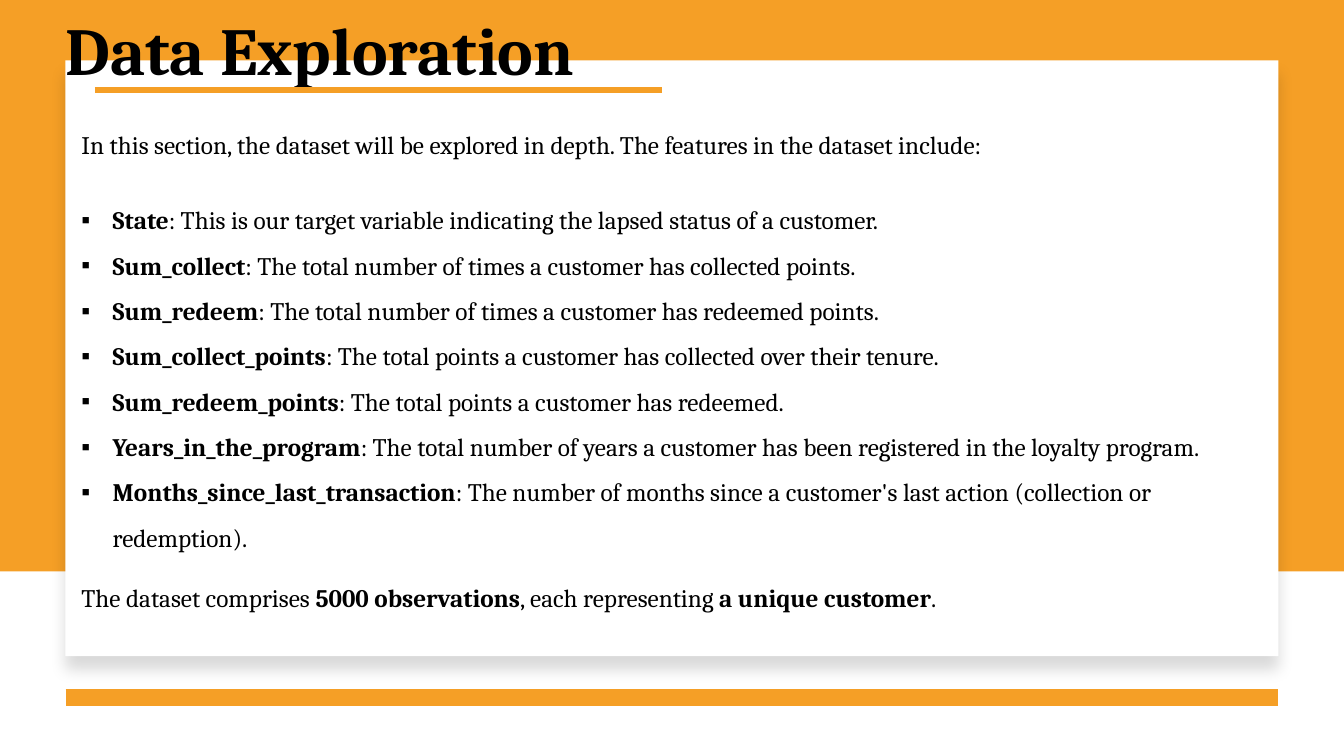
from lxml.etree import SubElement
from pptx import Presentation
from pptx.dml.color import RGBColor
from pptx.enum.shapes import MSO_CONNECTOR, MSO_SHAPE
from pptx.enum.text import MSO_ANCHOR, PP_ALIGN
from pptx.oxml.ns import qn
from pptx.util import Inches, Pt

# Content
TITLE = "Data Exploration"
INTRO = "In this section, the dataset will be explored in depth. The features in the dataset include:"
FEATURES = [
    ("State", "This is our target variable indicating the lapsed status of a customer."),
    ("Sum_collect", "The total number of times a customer has collected points."),
    ("Sum_redeem", "The total number of times a customer has redeemed points."),
    ("Sum_collect_points", "The total points a customer has collected over their tenure."),
    ("Sum_redeem_points", "The total points a customer has redeemed."),
    ("Years_in_the_program",
     "The total number of years a customer has been registered in the loyalty program."),
    ("Months_since_last_transaction",
     "The number of months since a customer's last action (collection or redemption)."),
]
# Pairs of text and bold
SUMMARY = [
    ("The dataset comprises ", False),
    ("5000 observations", True),
    (", each representing ", False),
    ("a unique customer", True),
    (".", False),
]

# Style
FONT = "Cambria"
ORANGE, WHITE, BLACK = "F59F26", "FFFFFF", "000000"
BODY_SIZE = 18
SECTION_GAP = 21.6  # one body line, in points
INDENT = 0.31
LEFT, CARD_WIDTH = 0.65, 12.03


def color(hex_string):
    return RGBColor.from_string(hex_string)


def add_text(paragraph, text, size=BODY_SIZE, bold=False, fill=BLACK):
    run = paragraph.add_run()
    run.text = text
    run.font.name = FONT
    run.font.size = Pt(size)
    run.font.bold = bold
    run.font.color.rgb = color(fill)


def add_rectangle(slide, left, top, width, height, fill):
    shape = slide.shapes.add_shape(
        MSO_SHAPE.RECTANGLE, Inches(left), Inches(top), Inches(width), Inches(height))
    shape.shadow.inherit = False
    shape.fill.solid()
    shape.fill.fore_color.rgb = color(fill)
    shape.line.fill.background()
    return shape


def add_shadow(shape):
    effects = shape._element.spPr.find(qn("a:effectLst"))
    shadow = SubElement(effects, qn("a:outerShdw"), blurRad=str(Pt(11)), dist=str(Pt(10)),
                        dir="5400000", algn="t", rotWithShape="0")
    shadow_color = SubElement(shadow, qn("a:srgbClr"), val=BLACK)
    SubElement(shadow_color, qn("a:alpha"), val="15000")


def add_rule(slide, left, right, y, width):
    line = slide.shapes.add_connector(
        MSO_CONNECTOR.STRAIGHT, Inches(left), Inches(y), Inches(right), Inches(y))
    line.line.color.rgb = color(ORANGE)
    line.line.width = Pt(width)
    SubElement(line._element.spPr, qn("a:effectLst"))


def set_bullet(paragraph):
    properties = paragraph._p.get_or_add_pPr()
    properties.set("marL", str(Inches(INDENT)))
    properties.set("indent", str(-Inches(INDENT)))
    SubElement(properties, qn("a:buFont"), typeface="Arial")
    SubElement(properties, qn("a:buChar"), char="▪")


def main():
    presentation = Presentation()
    presentation.slide_width, presentation.slide_height = Inches(13.33), Inches(7.5)
    slide = presentation.slides.add_slide(presentation.slide_layouts[5])

    # Orange backdrop and white card
    add_rectangle(slide, 0, 0, 13.33, 5.67, ORANGE)
    add_shadow(add_rectangle(slide, LEFT, 0.6, CARD_WIDTH, 5.91, WHITE))

    # Title, raised above the card
    title = slide.shapes.title
    title._element.getparent().append(title._element)
    title.left, title.top = Inches(LEFT), Inches(0.17)
    title.width, title.height = Inches(6.3), Inches(1.49)
    frame = title.text_frame
    frame.margin_left = frame.margin_top = frame.margin_right = frame.margin_bottom = 0
    frame.vertical_anchor = MSO_ANCHOR.TOP
    heading = frame.paragraphs[0]
    heading.alignment = PP_ALIGN.LEFT
    heading.line_spacing = 0.9
    add_text(heading, TITLE, size=48, bold=True)

    # Rules under the title and the card
    add_rule(slide, LEFT, LEFT + CARD_WIDTH, 6.92, 12)
    add_rule(slide, 0.94, 6.57, 0.89, 4.5)

    # Body text
    body = slide.shapes.add_textbox(
        Inches(0.71), Inches(1.23), Inches(CARD_WIDTH), Inches(4.95)).text_frame
    body.word_wrap = True
    add_text(body.paragraphs[0], INTRO)
    for index, (name, meaning) in enumerate(FEATURES):
        paragraph = body.add_paragraph()
        paragraph.line_spacing = 1.5
        if index == 0:
            paragraph.space_before = Pt(SECTION_GAP)
        set_bullet(paragraph)
        add_text(paragraph, name, bold=True)
        add_text(paragraph, f": {meaning}")
    closing = body.add_paragraph()
    closing.space_before = Pt(SECTION_GAP)
    for text, bold in SUMMARY:
        add_text(closing, text, bold=bold)

    presentation.save("out.pptx")


if __name__ == "__main__":
    main()
